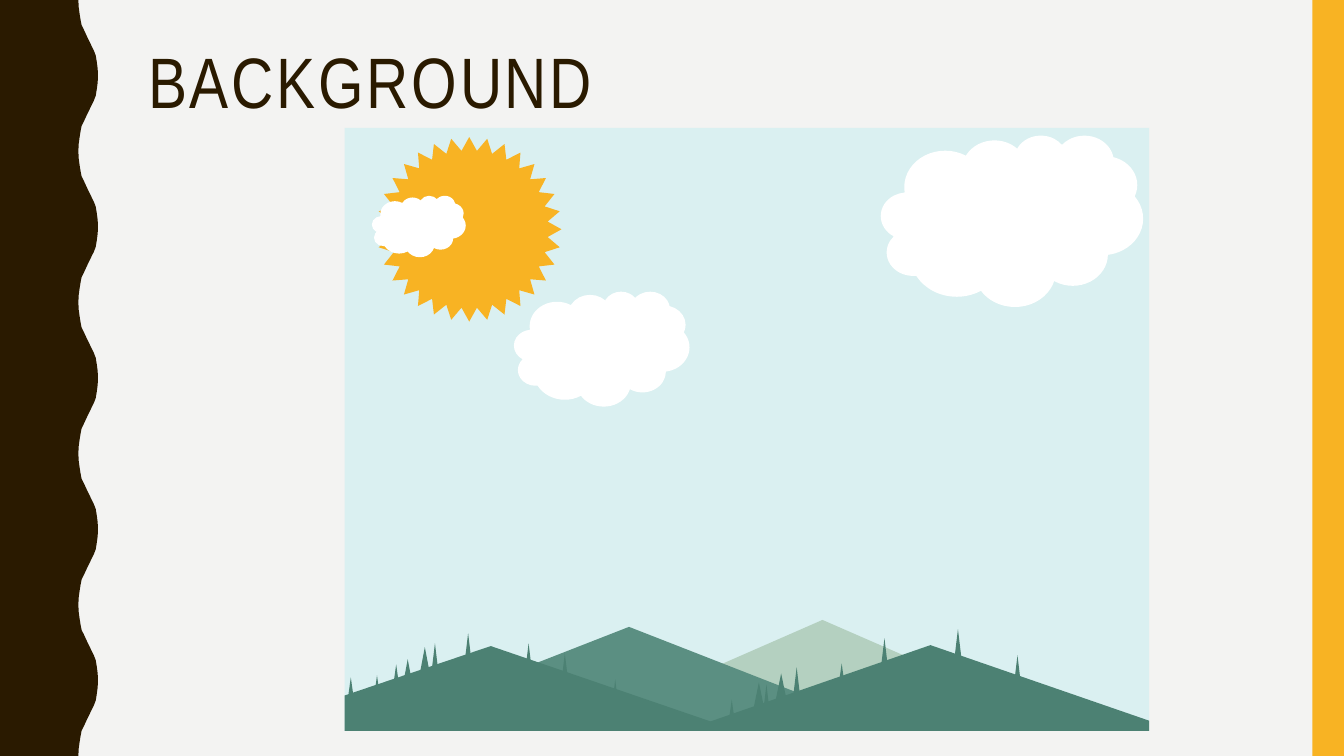
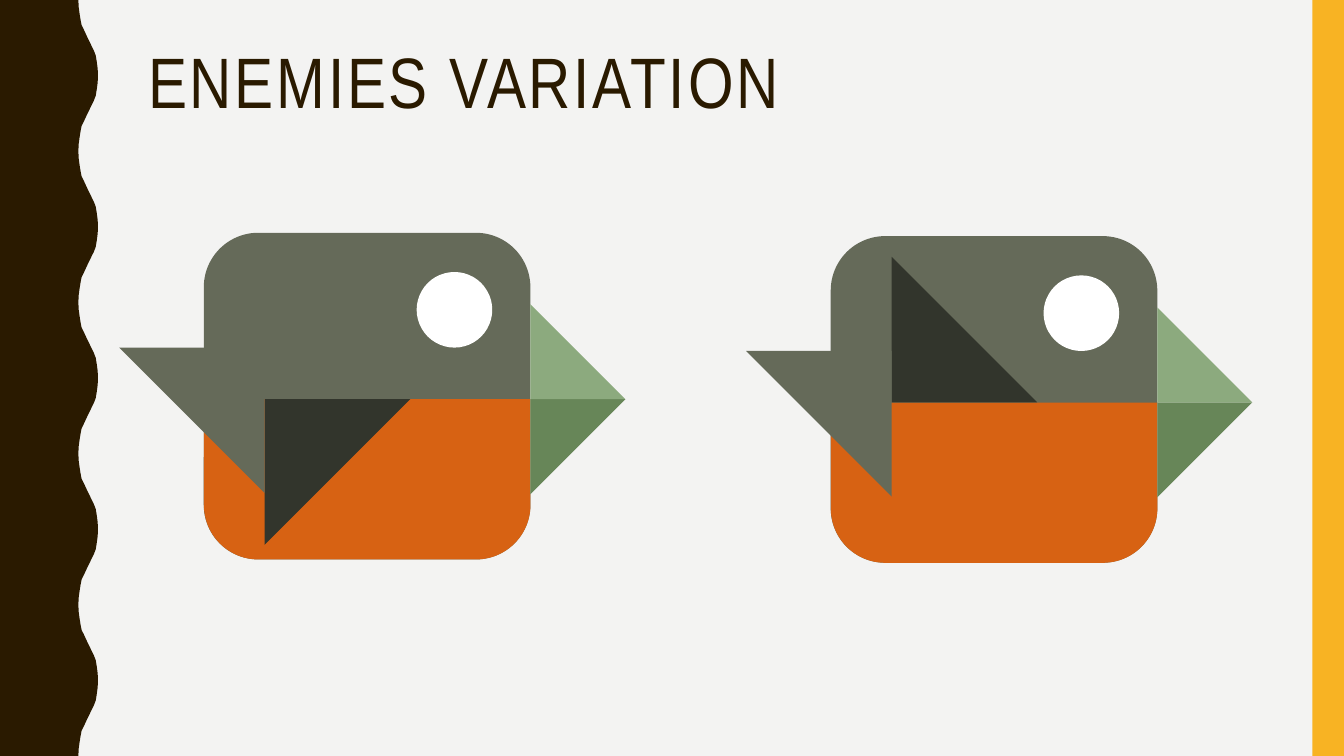
"""Build two game-art slides: a landscape background and a pair of bird enemies."""
from pptx import Presentation
from pptx.dml.color import RGBColor
from pptx.enum.shapes import MSO_SHAPE
from pptx.enum.text import MSO_ANCHOR, MSO_AUTO_SIZE, PP_ALIGN
from pptx.oxml.ns import qn
from pptx.util import Pt

PAPER = RGBColor(0xF3, 0xF3, 0xF2)
BROWN = RGBColor(0x2A, 0x1A, 0x00)
YELLOW = RGBColor(0xF8, 0xB3, 0x23)
WHITE = RGBColor(0xFF, 0xFF, 0xFF)
SKY = RGBColor(0xDA, 0xF0, 0xF1)
FAR_GREEN = RGBColor(0xB4, 0xD0, 0xC0)
MID_GREEN = RGBColor(0x5B, 0x8F, 0x82)
NEAR_GREEN = RGBColor(0x4C, 0x81, 0x73)
FEATHER = RGBColor(0x65, 0x6A, 0x59)
ORANGE = RGBColor(0xD7, 0x62, 0x13)
WING = RGBColor(0x32, 0x35, 0x2C)
BEAK_DARK = RGBColor(0x67, 0x86, 0x58)
BEAK_LIGHT = RGBColor(0x8C, 0xAA, 0x7E)

WIDTH, HEIGHT = 960, 540


def add_part(shapes, preset, box, color, adjust=(), turn=0):
    part = shapes.add_shape(preset, *map(Pt, box))
    for index, value in enumerate(adjust):
        part.adjustments[index] = value
    part.rotation = turn
    part.fill.solid()
    part.fill.fore_color.rgb = color
    part.line.fill.background()
    part.shadow.inherit = False
    return part


def add_outline(shapes, points, color):
    corners = [(Pt(x), Pt(y)) for x, y in points]
    builder = shapes.build_freeform(*corners[0])
    builder.add_line_segments(corners[1:], close=True)
    outline = builder.convert_to_shape()
    outline.fill.solid()
    outline.fill.fore_color.rgb = color
    outline.line.fill.background()
    outline.shadow.inherit = False
    return outline


deck = Presentation()
deck.slide_width, deck.slide_height = Pt(WIDTH), Pt(HEIGHT)
deck.slide_master.background.fill.solid()
deck.slide_master.background.fill.fore_color.rgb = PAPER
layout = deck.slide_layouts[5]

title_place = {"left": 98.6, "top": 30.2, "width": 801.4, "height": 147.6}
for name, value in title_place.items():
    setattr(layout.placeholders[0], name, Pt(value))

frame_format = {"vertical_anchor": MSO_ANCHOR.TOP, "word_wrap": True,
                "auto_size": MSO_AUTO_SIZE.NONE}
paragraph_format = {"alignment": PP_ALIGN.LEFT, "line_spacing": 0.9}
font_format = {"name": "Arial Narrow", "size": Pt(51)}

slides = []
for heading in ("BACKGROUND", "ENEMIES VARIATION"):
    slide = deck.slides.add_slide(layout)
    title = slide.shapes.title
    title.text = heading
    paragraph = title.text_frame.paragraphs[0]
    font = paragraph.runs[0].font
    for target, settings in ((title.text_frame, frame_format),
                             (paragraph, paragraph_format),
                             (font, font_format)):
        for name, value in settings.items():
            setattr(target, name, value)
    font.color.rgb = BROWN
    for properties in title.element.iter(qn("a:rPr")):
        properties.set("spc", "200")
    slides.append(slide)
background, enemies = slides

# The bands are drawn once and moved to the shared layout.
WAVE = 108
half_wave = [(56, 0), (56.2, 5), (56.9, 10), (57.6, 14.4), (58.3, 18),
             (59.8, 21), (61.2, 24), (62.6, 27), (64.1, 30), (65.5, 33),
             (67, 36), (68.4, 39.6), (69.1, 43.9), (69.8, 49), (70, 54)]
full_wave = half_wave + [(x, WAVE - y) for x, y in half_wave[-2::-1]]
edge = [(x, y + start) for start in range(0, HEIGHT, WAVE) for x, y in full_wave]
wavy_band = add_outline(background.shapes, [(0, 0), *edge, (0, HEIGHT)], BROWN)
yellow_band = add_part(background.shapes, MSO_SHAPE.RECTANGLE,
                       (937.5, 0, 22.5, HEIGHT), YELLOW)
for number, band in enumerate((wavy_band, yellow_band)):
    band.element.xpath(".//p:cNvPr")[0].set("id", str(20 + number))
    layout.shapes.element.insert(2 + number, band.element)

scene = background.shapes.add_group_shape().shapes
add_part(scene, MSO_SHAPE.RECTANGLE, (246.2, 91.4, 574.6, 430.6), SKY)
add_outline(scene, [(587.5, 442.8), (767.5, 521.3), (408.2, 521.3)], FAR_GREEN)
add_part(scene, MSO_SHAPE.ISOSCELES_TRIANGLE, (265, 447.8, 368.6, 72), MID_GREEN)
near_hills = [
    [(350.6, 461.5), (527, 522), (246.2, 522), (246.2, 496.8)],
    [(664.6, 460.8), (820.8, 514.8), (820.8, 522), (488.2, 522)],
]
for hill in near_hills:
    add_outline(scene, hill, NEAR_GREEN)

trees_by_width = {
    5: [(308.2, 459.4), (331.9, 452.2), (375.1, 459.4), (545, 488.9),
        (566.6, 476.6), (629.3, 455.8), (681.8, 449.3), (724.3, 468),
        (437, 485.3), (401, 466.6)],
    5.8: [(280.1, 474.5), (266.4, 482.4), (247.7, 483.8), (519.8, 499.7),
          (598.3, 473.8)],
    7.9: [(299.5, 462.2), (287.3, 470.9)],
    8.6: [(553.7, 481), (537.8, 487.4)],
}
for tree_width, spots in trees_by_width.items():
    for x, y in spots:
        add_part(scene, MSO_SHAPE.ISOSCELES_TRIANGLE, (x, y, tree_width, 20.9), NEAR_GREEN)

add_part(scene, MSO_SHAPE.STAR_32_POINT, (269.3, 97.9, 131.8, 131.8), YELLOW, [0.427])
clouds = [(629.3, 96.5, 187.2, 122.4), (367.2, 208.1, 125.3, 82.1),
          (265.7, 139.7, 67, 43.9)]
for cloud in clouds:
    add_part(scene, MSO_SHAPE.CLOUD, cloud, WHITE)

HEAD, BELLY_TOP, FLAP, BEAK, EYE = 233.3, 118.8, 104, 67.8, 54
WING_LEFT = 43.5
birds = [(593.4, 168.7, BELLY_TOP - FLAP, 0), (145.6, 166.3, BELLY_TOP, 90)]
for left, top, wing_top, wing_turn in birds:
    bird = enemies.shapes.add_group_shape().shapes
    add_part(bird, MSO_SHAPE.ROUNDED_RECTANGLE, (left, top, HEAD, HEAD), FEATHER)
    add_part(bird, MSO_SHAPE.ROUND_2_SAME_RECTANGLE,
             (left, top + BELLY_TOP, HEAD, HEAD - BELLY_TOP), ORANGE, [0.34, 0], 180)
    triangles = [
        (WING_LEFT, wing_top, FLAP, WING, wing_turn),
        (WING_LEFT - FLAP, 82, FLAP, FEATHER, 180),
        (HEAD, BELLY_TOP, BEAK, BEAK_DARK, 90),
        (HEAD, BELLY_TOP - BEAK, BEAK, BEAK_LIGHT, 0),
    ]
    for x, y, side, color, turn in triangles:
        add_part(bird, MSO_SHAPE.ISOSCELES_TRIANGLE,
                 (left + x, top + y, side, side), color, [0], turn)
    add_part(bird, MSO_SHAPE.OVAL, (left + 152, top + 28, EYE, EYE), WHITE)

deck.save("out.pptx")
